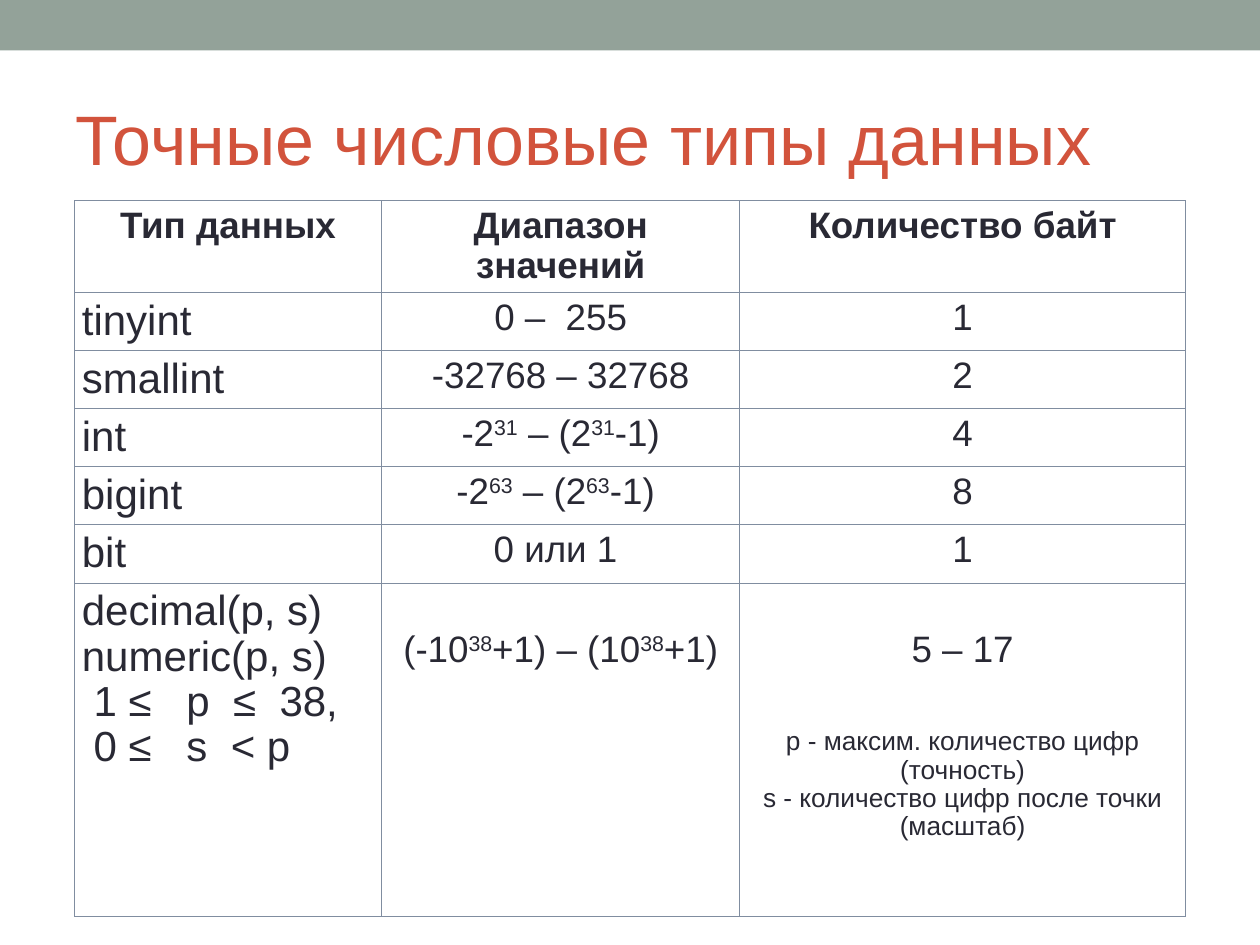
from pptx import Presentation
from pptx.dml.color import RGBColor
from pptx.enum.shapes import MSO_SHAPE as Shape
from pptx.enum.text import MSO_ANCHOR as Anchor, PP_ALIGN as Align
from pptx.oxml import parse_xml
from pptx.oxml.ns import nsdecls
from pptx.util import Inches, Pt

COLORS = {"band": "93A299", "title": "D2533C", "text": "292934", "border": "808DA0"}
FONT = "Arial"
LINE_SPACING = 0.97


def write(para, text, size, color="text", bold=False, align=Align.CENTER):
    """Fill a paragraph; parts between ^ marks are superscript."""
    para.alignment = align
    para.line_spacing = LINE_SPACING
    for index, part in enumerate(text.split("^")):
        if not part:
            continue
        span = para.add_run()
        span.text = part
        span.font.name = FONT
        span.font.size = Pt(size)
        span.font.bold = bold
        span.font.color.rgb = RGBColor.from_string(COLORS[color])
        if index % 2:
            span.font._element.set("baseline", "30000")


def add_borders(cell, **widths):
    """Draw the cell's sides; widths maps lnL, lnR, lnT and lnB to points."""
    properties = cell._tc.get_or_add_tcPr()
    for position, (side, width) in enumerate(widths.items()):
        line = parse_xml(
            f'<a:{side} {nsdecls("a")} w="{Pt(width)}"><a:solidFill>'
            f'<a:srgbClr val="{COLORS["border"]}"/></a:solidFill></a:{side}>')
        properties.insert(position, line)


deck = Presentation()
deck.slide_width, deck.slide_height = Inches(10), Inches(7.5)
page = deck.slides.add_slide(deck.slide_layouts[5])

band = page.shapes.add_shape(Shape.RECTANGLE, 0, 0, Inches(10), Inches(0.4))
band.shadow.inherit = False
band.fill.solid()
band.fill.fore_color.rgb = RGBColor.from_string(COLORS["band"])
band.line.fill.background()

title = page.shapes.title
title.left, title.top = Inches(0.5), Inches(0.58)
title.width, title.height = Inches(9), Inches(1.08)
title.text_frame.vertical_anchor = Anchor.MIDDLE
write(title.text_frame.paragraphs[0], "Точные числовые типы данных", 40,
      color="title", align=Align.LEFT)

# Each row: type, range of values, number of bytes
rows = [
    ("Тип данных", "Диапазон значений", "Количество байт"),
    ("tinyint", "0 –  255", "1"),
    ("smallint", "-32768 – 32768", "2"),
    ("int", "-2^31^ – (2^31^-1)", "4"),
    ("bigint", "-2^63^ – (2^63^-1) ", "8"),
    ("bit", "0 или 1 ", "1"),
    ("decimal(p, s)\nnumeric(p, s)\n 1 ≤   p  ≤  38,\n 0 ≤   s  < p",
     "(-10^38^+1) – (10^38^+1)", "5 – 17"),
]
notes = ["p - максим. количество цифр", "(точность)",
         "s - количество цифр после точки", "(масштаб)"]
column_widths = [2.44, 2.84, 3.54]
row_heights = [0.7] + [0.4] * 5 + [2.65]
last = len(rows) - 1

table = page.shapes.add_table(len(rows), len(column_widths), Inches(0.59), Inches(1.59),
                              Inches(sum(column_widths)), Inches(sum(row_heights))).table
table.first_row = table.horz_banding = False
for column, width in zip(table.columns, column_widths):
    column.width = Inches(width)
for row, height in zip(table.rows, row_heights):
    row.height = Inches(height)

for r, texts in enumerate(rows):
    for c, text in enumerate(texts):
        cell = table.cell(r, c)
        cell.fill.background()
        cell.margin_left = cell.margin_right = Inches(0.06)
        cell.margin_top = cell.margin_bottom = Inches(0.05)
        if r == last and c > 0:
            cell.margin_top = Inches(0.38)
        add_borders(cell, lnL=0.45, lnR=0.45,
                    lnT=0.96 if r == 1 else 0.45, lnB=0.96 if r == 0 else 0.45)
        is_type = r > 0 and c == 0
        for index, line in enumerate(text.split("\n")):
            para = cell.text_frame.add_paragraph() if index else cell.text_frame.paragraphs[0]
            write(para, line, 24 if is_type else 21, bold=r == 0,
                  align=Align.LEFT if is_type else Align.CENTER)

for index, note in enumerate(notes):
    para = table.cell(last, 2).text_frame.add_paragraph()
    write(para, note, 15)
    if index == 0:
        para.space_before = Pt(33)

deck.save("out.pptx")
